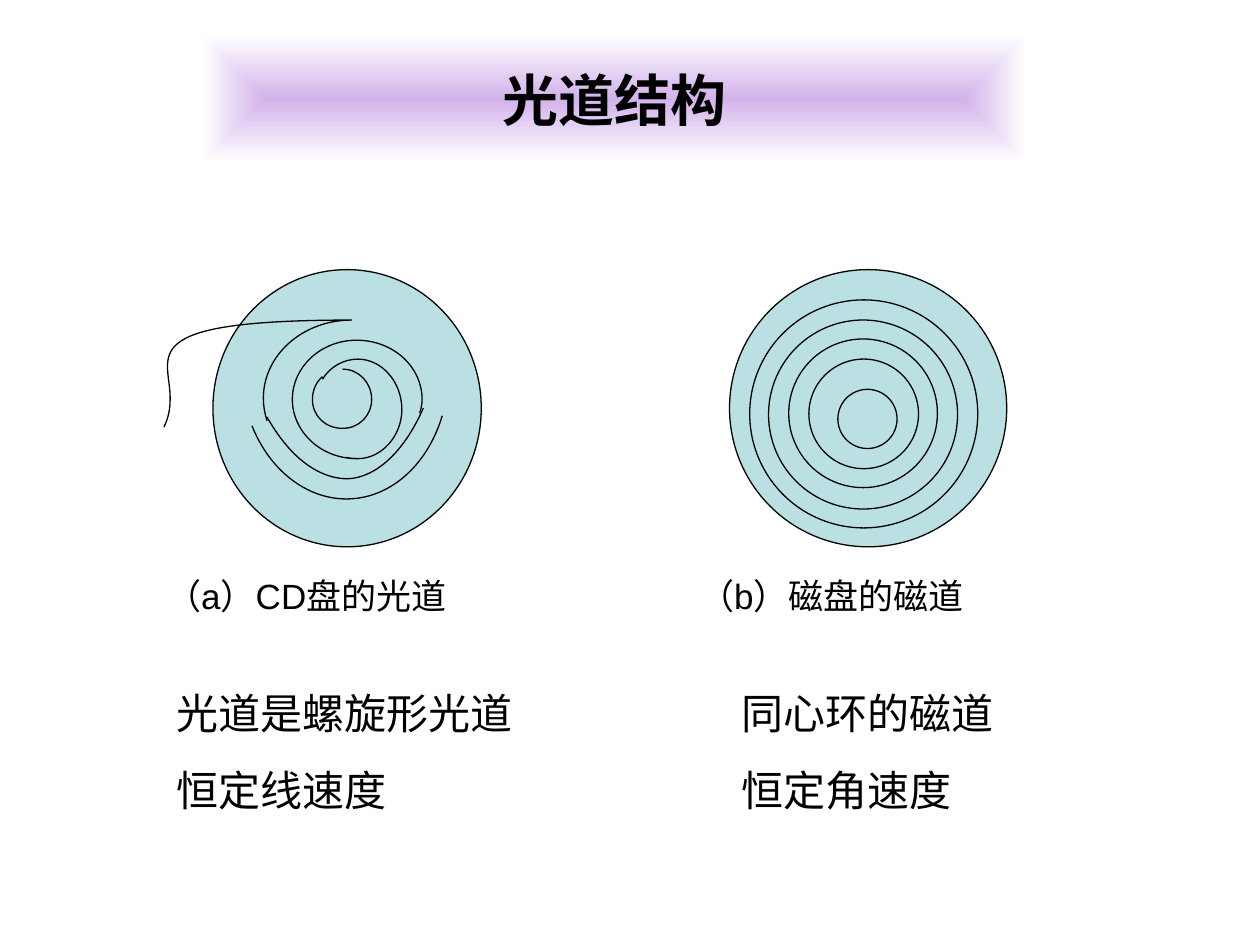
from lxml import etree
from pptx import Presentation
from pptx import util as u
from pptx.dml.color import RGBColor
from pptx.enum import shapes, text
from pptx.oxml import parse_xml
from pptx.oxml.ns import nsdecls, qn

BLACK, DISC, VIOLET, WHITE = "000000", "BBE0E3", "D3B3EB", "FFFFFF"
CJK_FONT = "Noto Sans CJK SC"

# Spiral track: frame of each arc, its start point and its Bezier segments
SPIRAL_ARCS = [
    ((2.48, 2.93, 0.47, 0.47), (2.72, 2.93),
     (2.85, 2.93, 2.95, 3.04, 2.95, 3.17), (2.95, 3.3, 2.85, 3.4, 2.72, 3.4),
     (2.58, 3.4, 2.48, 3.3, 2.48, 3.17), (2.48, 3.1, 2.51, 3.03, 2.56, 2.99)),
    ((2.56, 2.85, 0.63, 0.79), (2.56, 3.01),
     (2.62, 2.91, 2.73, 2.85, 2.84, 2.85), (3.03, 2.85, 3.19, 3.03, 3.19, 3.25),
     (3.19, 3.46, 3.03, 3.64, 2.84, 3.64), (2.81, 3.64, 2.78, 3.64, 2.75, 3.63)),
    ((2.32, 2.7, 1.02, 0.95), (2.83, 3.64),
     (2.55, 3.64, 2.32, 3.43, 2.32, 3.17), (2.32, 2.91, 2.55, 2.7, 2.83, 2.7),
     (3.12, 2.7, 3.35, 2.91, 3.35, 3.17), (3.35, 3.21, 3.34, 3.25, 3.33, 3.28)),
    ((2.11, 1.99, 1.24, 1.81), (3.36, 3.24),
     (3.21, 3.58, 2.99, 3.79, 2.76, 3.8), (2.53, 3.8, 2.3, 3.63, 2.12, 3.31)),
    ((2.09, 2.54, 1.42, 0.85), (2.12, 3.34),
     (2.1, 3.28, 2.09, 3.22, 2.09, 3.16), (2.09, 2.82, 2.4, 2.54, 2.79, 2.54),
     (1.04, 2.54, 1.35, 2.82, 1.35, 3.16), (1.35, 3.24, 1.34, 3.31, 1.3, 3.39)),
    ((2, 2.93, 1.51, 1.02), (3.51, 3.3),
     (3.39, 3.7, 3.09, 3.96, 2.75, 3.96), (2.43, 3.96, 2.14, 3.73, 2, 3.38)),
]
# Concentric tracks: left, top, diameter
RINGS = [(5.79, 2.14, 2.2), (5.95, 2.38, 1.81), (6.1, 2.54, 1.5),
         (6.26, 2.69, 1.18), (6.42, 2.85, 0.87), (6.65, 3.09, 0.47)]


def color(value):
    return RGBColor.from_string(value)


def write(para, words, size, font="Arial", bold=False, fill=BLACK):
    span = para.add_run()
    span.text = words
    span.font.size = u.Pt(size)
    span.font.bold = bold
    span.font.color.rgb = color(fill)
    span.font.name = font
    east_asian = etree.SubElement(span.font._element, qn("a:ea"))
    east_asian.set("typeface", CJK_FONT)


def outline(shape):
    shape.shadow.inherit = False
    shape.line.color.rgb = color(BLACK)
    shape.line.width = u.Pt(0.75)


def add_disc(page, left, top, width, height):
    disc = page.shapes.add_shape(shapes.MSO_SHAPE.OVAL, u.Inches(left),
                                 u.Inches(top), u.Inches(width), u.Inches(height))
    disc.fill.solid()
    disc.fill.fore_color.rgb = color(DISC)
    outline(disc)


def add_arc(page, frame, start, *segments):
    left, top, width, height = (u.Inches(value) for value in frame)
    builder = page.shapes.build_freeform(left, top)
    builder.add_line_segments([(left + width, top + height)], close=False)
    arc = builder.convert_to_shape()
    # Swap the frame's diagonal for true Bezier segments
    track = arc._element.spPr.find(".//" + qn("a:path"))
    for command in list(track):
        track.remove(command)
    for tag, values in [("a:moveTo", start)] + [("a:cubicBezTo", s) for s in segments]:
        command = etree.SubElement(track, qn(tag))
        for x, y in zip(values[::2], values[1::2]):
            etree.SubElement(command, qn("a:pt"), x=str(u.Inches(x) - left),
                             y=str(u.Inches(y) - top))
    arc.fill.background()
    outline(arc)


def add_text(page, left, top, width, height, lines, size, font="Arial", tab=None):
    box = page.shapes.add_textbox(u.Inches(left), u.Inches(top),
                                  u.Inches(width), u.Inches(height))
    frame = box.text_frame
    frame.word_wrap = True
    frame.auto_size = text.MSO_AUTO_SIZE.SHAPE_TO_FIT_TEXT
    for index, line in enumerate(lines):
        para = frame.add_paragraph() if index else frame.paragraphs[0]
        if index:
            para.space_before = u.Pt(15)
        if tab:
            tabs = etree.SubElement(para._p.get_or_add_pPr(), qn("a:tabLst"))
            etree.SubElement(tabs, qn("a:tab"), pos=str(u.Inches(tab)), algn="l")
        write(para, line, size, font)


def add_title(page, words):
    title = page.shapes.title
    title.left, title.top = u.Inches(1.6), u.Inches(0.28)
    title.width, title.height = u.Inches(6.55), u.Inches(1.01)
    # Rectangular gradient fading out from the centre
    title._element.spPr.append(parse_xml(
        f'<a:gradFill {nsdecls("a")} rotWithShape="1"><a:gsLst>'
        f'<a:gs pos="0"><a:srgbClr val="{VIOLET}"/></a:gs>'
        f'<a:gs pos="100000"><a:srgbClr val="{WHITE}"/></a:gs></a:gsLst>'
        '<a:path path="rect"><a:fillToRect l="50000" t="50000" r="50000" b="50000"/>'
        '</a:path></a:gradFill>'))
    frame = title.text_frame
    frame.vertical_anchor = text.MSO_ANCHOR.MIDDLE
    para = frame.paragraphs[0]
    para.alignment = text.PP_ALIGN.CENTER
    write(para, words, 32, bold=True)


def main():
    deck = Presentation()
    deck.slide_width, deck.slide_height = u.Inches(10), u.Inches(7.5)
    page = deck.slides.add_slide(deck.slide_layouts[5])
    add_title(page, "光道结构")

    # CD with its spiral track
    add_disc(page, 1.69, 2.14, 2.13, 2.2)
    for arc in SPIRAL_ARCS:
        add_arc(page, *arc)

    # Magnetic disk with concentric tracks
    for left, top, diameter in RINGS:
        add_disc(page, left, top, diameter, diameter)

    # Captions and notes under the discs
    add_text(page, 1.22, 4.51, 7.24, 0.44,
             ["（a）CD盘的光道\t（b）磁盘的磁道"], 20, tab=4.23)
    add_text(page, 1.3, 5.41, 4.33, 1.11,
             ["光道是螺旋形光道", "恒定线速度"], 24, CJK_FONT)
    add_text(page, 5.79, 5.41, 3.07, 1.11,
             ["同心环的磁道", "恒定角速度"], 24, CJK_FONT)
    deck.save("out.pptx")


if __name__ == "__main__":
    main()
